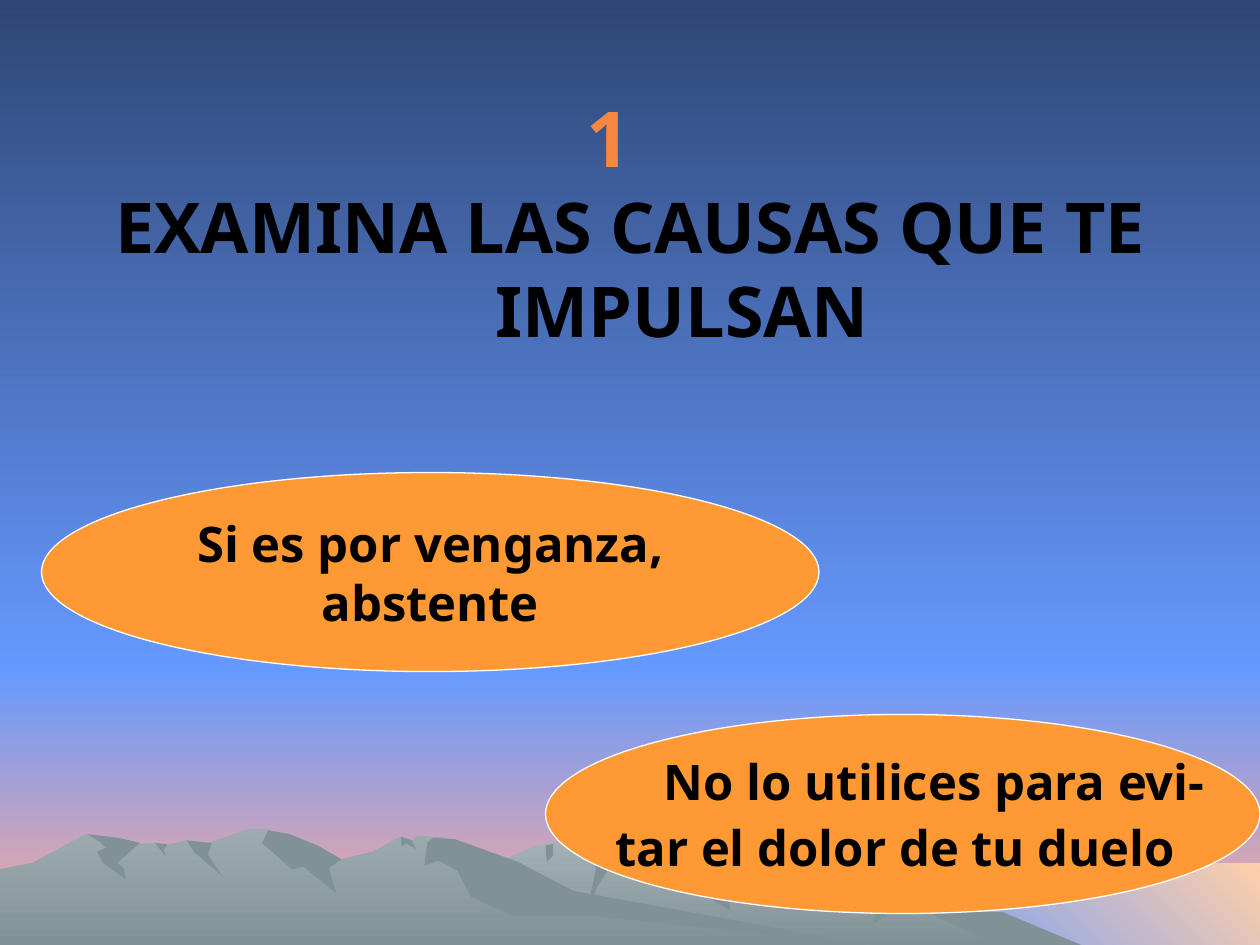
from pptx import Presentation
from pptx import util as u
from pptx.dml.color import RGBColor
from pptx.enum import shapes, text

COLORS = {
    "night": "2F4675", "day": "6699FF", "dusk": "FFAA99", "sand": "FFCFAB",
    "mist": "A9B5B8", "fog": "9EABAE", "slate": "809296",
    "orange": "FF9933", "coral": "FA8740", "black": "000000", "white": "FFFFFF",
}
FONT = "Noto Sans"
PX = 9144
WIDTH, BASE = 1000, 750
HORIZON, SHORE = 533, 685
SEAM_OVERLAP = 3
BUBBLE_HEIGHT = 158

FAR_SKYLINE = [
    (258, BASE), (327, 709), (394, 685), (424, 672), (444, 668), (468, 658),
    (486, 673), (509, 669), (526, 673), (536, 690), (566, 697), (613, 681),
    (629, 671), (656, 671), (685, 660), (702, 671), (723, 698), (764, 723),
    (778, 727), (821, BASE)]
FAR_FOLDS = {
    "east slope": [(685, 660), (707, 671), (734, 703), (771, 724), (796, 724),
                   (858, BASE), (792, BASE), (720, 717), (693, 733),
                   (698, 702), (685, 671)],
    "centre peak": [(471, 658), (497, 671), (487, 683), (474, 704), (465, 727),
                    (473, 690), (468, 671)],
    "saddle": [(529, 676), (542, 685), (570, 692), (592, 689), (576, 700),
               (580, 723), (536, 697), (526, 683)],
    "notch": [(630, 671), (656, 671), (652, 676), (657, 684), (647, 679),
              (643, 683), (630, 676)],
    "west cleft": [(433, 671), (439, 670), (439, 679), (434, 684)],
}
NEAR_SKYLINE = [
    (0, 690), (26, 685), (68, 662), (94, 671), (123, 669), (132, 671),
    (148, 667), (160, 671), (197, 658), (212, 658), (223, 663), (236, 681),
    (260, 676), (271, 682), (296, 676), (318, 664), (327, 668), (331, 663),
    (354, 665), (432, 712), (690, BASE)]
NEAR_FOLDS = {
    "main peak": [(213, 659), (230, 662), (252, 671), (271, 682), (261, 689),
                  (267, 709), (241, 688), (232, 690), (208, 669)],
    "long slope": [(344, 665), (361, 666), (411, 684), (455, 707), (690, BASE),
                   (472, 727), (407, 727), (374, 712), (363, 691), (348, 683),
                   (337, 687), (339, 669)],
    "small gap": [(318, 664), (327, 667), (330, 674), (322, 669), (319, 672)],
    "shoulder": [(148, 667), (168, 669), (165, 678), (176, 695), (154, 676)],
    "dip": [(123, 669), (133, 670), (130, 674), (132, 680)],
    "west peak": [(69, 662), (94, 665), (111, 669), (93, 685), (98, 689),
                  (100, 698), (82, 685), (77, 676), (84, 673), (79, 668)],
}


class Scene:
    def __init__(self, slide):
        self.slide = slide

    def rgb(self, name):
        return RGBColor.from_string(COLORS[name])

    def paint(self, fill, names, angle=90):
        if len(names) == 1:
            fill.solid()
            fill.fore_color.rgb = self.rgb(names[0])
            return
        fill.gradient()
        fill.gradient_angle = 360 - angle
        for stop, name in zip(fill.gradient_stops, names):
            stop.color.rgb = self.rgb(name)

    def preset(self, kind, box, names, angle=90):
        preset = self.slide.shapes.add_shape(kind, *(n * PX for n in box))
        preset.shadow.inherit = False
        preset.line.fill.background()
        self.paint(preset.fill, names, angle)
        return preset

    def band(self, left, top, bottom, names, angle=90):
        self.preset(shapes.MSO_SHAPE.RECTANGLE,
                    (left, top, WIDTH - left, bottom - top), names, angle)

    def outline(self, points, *names):
        builder = self.slide.shapes.build_freeform(*points[0], scale=PX)
        builder.add_line_segments(points[1:], close=True)
        outline = builder.convert_to_shape()
        outline.shadow.inherit = False
        outline.line.fill.background()
        self.paint(outline.fill, names)

    def mountains(self, skyline, folds, top_color):
        left, right = skyline[0][0], skyline[-1][0]
        self.outline(skyline + [(right, BASE), (left, BASE)], top_color, "slate")
        for fold in folds.values():
            self.outline(fold, "slate")

    def paragraph(self, paragraph, words, size, color, align, **indents):
        paragraph.text = words
        paragraph.alignment = align
        font = paragraph.font
        font.name, font.size, font.bold = FONT, u.Pt(size), True
        font.color.rgb = self.rgb(color)
        properties = paragraph._p.get_or_add_pPr()
        for side, px in indents.items():
            properties.set(side, str(px * PX))

    def label(self, box, words, size, color, align, anchor, **indents):
        label = self.slide.shapes.add_textbox(*(n * PX for n in box))
        frame = label.text_frame
        frame.word_wrap = True
        frame.vertical_anchor = anchor
        self.paragraph(frame.paragraphs[0], words, size, color, align, **indents)
        return frame

    def bubble(self, left, top, width, lines, gap=0):
        bubble = self.preset(shapes.MSO_SHAPE.OVAL,
                             (left, top, width, BUBBLE_HEIGHT), ["orange"])
        bubble.line.color.rgb = self.rgb("white")
        bubble.line.width = u.Pt(0.75)
        frame = bubble.text_frame
        frame.word_wrap = False
        frame.vertical_anchor = text.MSO_ANCHOR.MIDDLE
        for i, (words, indents) in enumerate(lines):
            line = frame.add_paragraph() if i else frame.paragraphs[0]
            self.paragraph(line, words, 28, "black", text.PP_ALIGN.CENTER, **indents)
            line.space_before = u.Pt(gap if i else 0)


def main():
    deck = Presentation()
    deck.slide_width, deck.slide_height = WIDTH * PX, BASE * PX
    scene = Scene(deck.slides.add_slide(deck.slide_layouts[6]))

    scene.paint(scene.slide.background.fill, ("night", "day"))
    scene.band(0, HORIZON - SEAM_OVERLAP, BASE, ("day", "dusk"))
    scene.band(0, 0, HORIZON, ("night", "day"))
    scene.band(683, SHORE, BASE, ("sand", "day"), angle=135)
    scene.mountains(FAR_SKYLINE, FAR_FOLDS, "mist")
    scene.mountains(NEAR_SKYLINE, NEAR_FOLDS, "fog")

    scene.label((50, 150, WIDTH - 2 * 50, 125),
                "EXAMINA LAS CAUSAS QUE TE IMPULSAN", 40, "black",
                text.PP_ALIGN.CENTER, text.MSO_ANCHOR.MIDDLE,
                marL=83, indent=-83)
    number = scene.label((392, 67, 225, 84), "1", 44, "coral",
                         text.PP_ALIGN.LEFT, text.MSO_ANCHOR.TOP, marL=64)
    number.auto_size = text.MSO_AUTO_SIZE.SHAPE_TO_FIT_TEXT

    scene.bubble(33, 375, 617, [("Si es por venganza,", {}), ("abstente", {})])
    scene.bubble(433, 567, WIDTH - 433,
                 [("No lo utilices para evi-", {"marL": 50}),
                  ("tar el dolor de tu duelo", {"marR": 12})], gap=4)
    deck.save("out.pptx")


if __name__ == "__main__":
    main()
